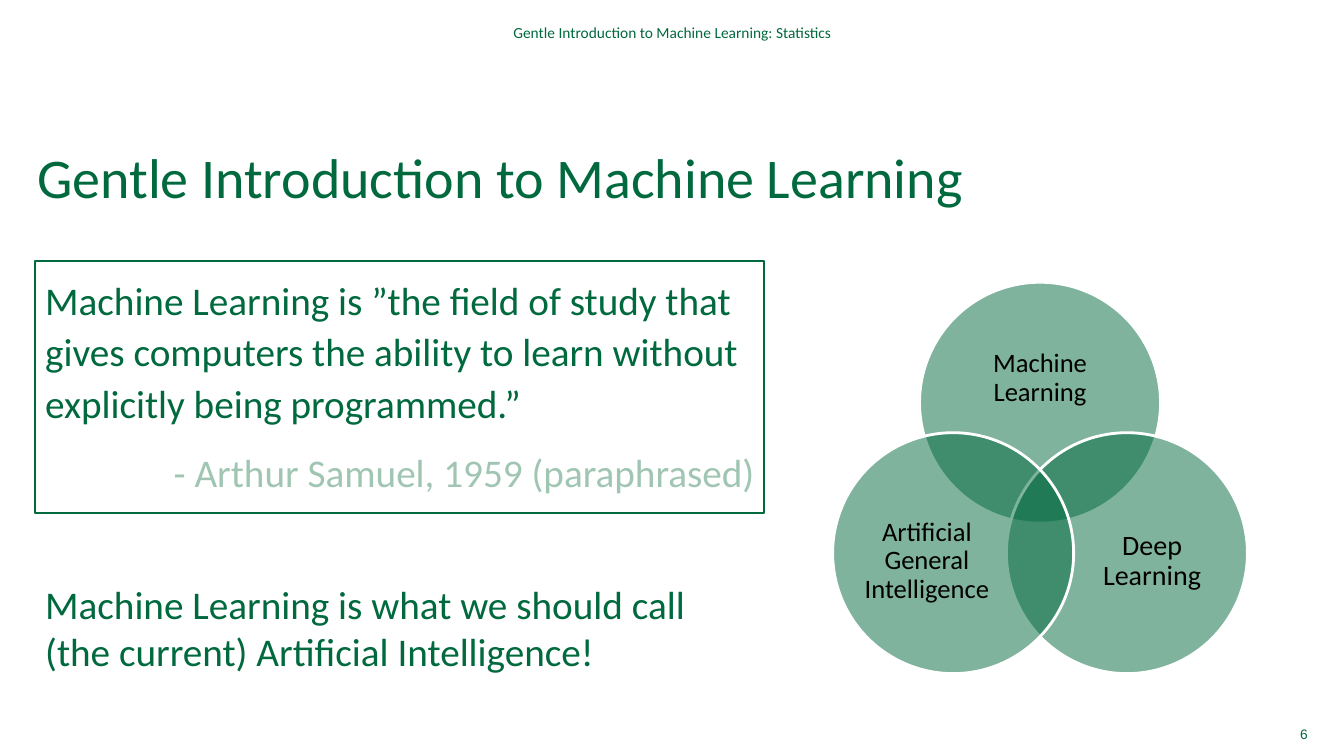
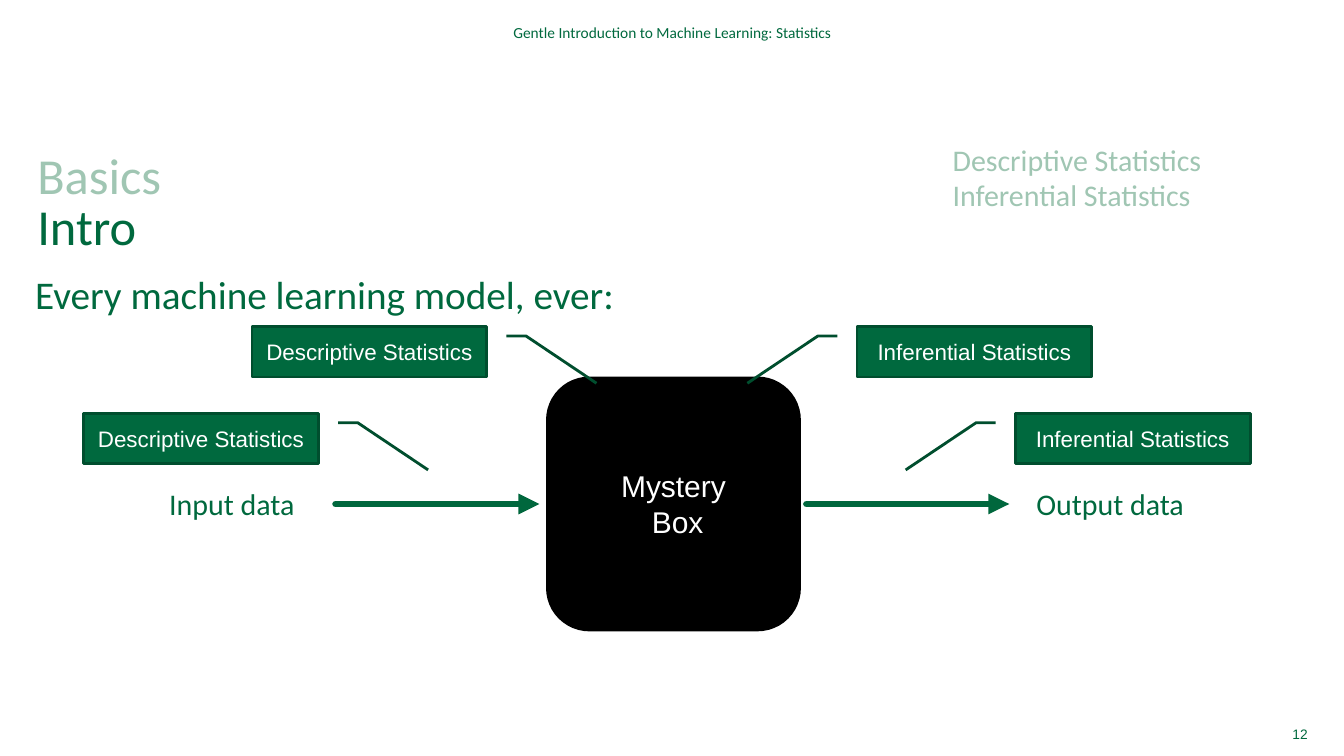
"""Build two slides that introduce machine learning and its statistics."""
import math
import pptx
import pptx.util
import pptx.dml.color
import pptx.enum.shapes
import pptx.enum.text
import pptx.oxml
import pptx.oxml.ns

Inches, Pt = pptx.util.Inches, pptx.util.Pt
RGB = pptx.dml.color.RGBColor
KIND = pptx.enum.shapes.MSO_SHAPE
ALIGN = pptx.enum.text.PP_ALIGN
ANCHOR = pptx.enum.text.MSO_ANCHOR
qn = pptx.oxml.ns.qn

GREEN = RGB(0x00, 0x69, 0x3E)
PALE = RGB(0xA0, 0xC6, 0xB3)
DARK = RGB(0x00, 0x4E, 0x2E)
ARROW = RGB(0x00, 0x67, 0x3D)
BLACK = RGB(0, 0, 0)
WHITE = RGB(255, 255, 255)

WIDE, HIGH = 13.33, 7.5
EDGE = 0.35
BODY = 2.59
HALF = 7.23
HEADER = "Gentle Introduction to Machine Learning: Statistics"

QUOTE = ("Machine Learning is ”the field of study that gives computers "
         "the ability to learn without explicitly being programmed.”")
SOURCE = "- Arthur Samuel, 1959 (paraphrased)"
CLAIM = "Machine Learning is what we should call (the current) Artificial Intelligence!"

VENN = {"mid": (10.315, 4.99), "ring": 0.995, "size": 2.39}
RINGS = [
    ("Machine Learning", -90, 19, (0, -0.24), (1.75, 1.07)),
    ("Deep Learning", 30, 20, (0.25, 0.08), (1.43, 1.31)),
    ("Artificial General Intelligence", 150, 19, (-0.26, 0.08), (1.43, 1.31)),
]

TOPICS = ["Descriptive Statistics", "Inferential Statistics"]
NOTES = [(0, 0.83, 4.1), (0, 2.5, 3.24), (1, 8.5, 3.24), (1, 10.07, 4.1)]
ARROWS = [(3.33, 5.35), (8, 10.01)]
ENDS = [("Input data", 1.58, 1.59), ("Output data", 10.18, 1.83)]


def write(frame, rows, size, color=GREEN, font="Calibri", align=ALIGN.LEFT,
          anchor=ANCHOR.TOP, pad=(0, 0, 0, 0), wrap=True, lead=None, gap=0):
    """Fill a frame with rows; each row is a list of (text, colour) runs or a string."""
    frame.word_wrap = wrap
    frame.vertical_anchor = anchor
    (frame.margin_left, frame.margin_top,
     frame.margin_right, frame.margin_bottom) = map(Inches, pad)
    for num, row in enumerate(rows):
        para = frame.add_paragraph() if num else frame.paragraphs[0]
        para.alignment = align
        para.space_before = para.space_after = Pt(gap)
        if lead:
            para.line_spacing = lead
        runs = [(row, color)] if isinstance(row, str) else row
        for spot, (text, tint) in enumerate(runs):
            if spot:
                para.add_line_break()
            run = para.add_run()
            run.text = text
            run.font.size, run.font.name = Pt(size), font
            run.font.color.rgb = tint


def label(slide, box, rows, size, **style):
    """Add a text box."""
    item = slide.shapes.add_textbox(*map(Inches, box))
    write(item.text_frame, rows, size, **style)
    return item


def shape(slide, kind, box, fill, edge):
    """Add a filled shape with a two point outline."""
    item = slide.shapes.add_shape(kind, *map(Inches, box))
    item.shadow.inherit = False
    item.fill.solid()
    item.fill.fore_color.rgb = fill
    item.line.color.rgb, item.line.width = edge, Pt(2)
    return item


def start(deck, title, size, number):
    """Add a slide with its title, header and number."""
    slide = deck.slides.add_slide(deck.slide_layouts[5])
    head = slide.shapes.title
    head.left, head.top, head.width, head.height = map(Inches, (0.37, 1.52, 12.63, 1.01))
    write(head.text_frame, [title], size, lead=0.85)
    label(slide, (2.61, 0.2, 8.12, 0.24), [HEADER], 11,
          align=ALIGN.CENTER, anchor=ANCHOR.MIDDLE)
    label(slide, (12.4, 7.16, 0.57, 0.24), [number], 9.8, font="Arial",
          align=ALIGN.RIGHT, anchor=ANCHOR.MIDDLE)
    return slide


def venn(slide):
    """Draw the three see-through circles and their labels."""
    size, ring = VENN["size"], VENN["ring"]
    for text, turn, points, (dx, dy), (wide, high) in RINGS:
        x = VENN["mid"][0] + ring * math.cos(math.radians(turn))
        y = VENN["mid"][1] + ring * math.sin(math.radians(turn))
        disc = shape(slide, KIND.OVAL, (x - size / 2, y - size / 2, size, size), GREEN, WHITE)
        tint = disc.fill._xPr.find(qn("a:solidFill"))[0]
        tint.append(pptx.oxml.parse_xml(
            '<a:alpha xmlns:a="http://schemas.openxmlformats.org/drawingml/2006/main" val="50000"/>'))
        label(slide, (x + dx - wide / 2, y + dy - high / 2, wide, high), [text], points,
              color=BLACK, align=ALIGN.CENTER, anchor=ANCHOR.MIDDLE, lead=0.9)


def arrow(slide, left, right, y):
    """Draw a thick level arrow."""
    item = slide.shapes.add_connector(
        pptx.enum.shapes.MSO_CONNECTOR.STRAIGHT, *map(Inches, (left, y, right, y)))
    item.line.color.rgb, item.line.width = ARROW, Pt(5)
    line = item.line._get_or_add_ln()
    line.set("cap", "rnd")
    line.append(line.makeelement(qn("a:tailEnd"), {"type": "triangle"}))
    props = item._element.spPr
    props.append(props.makeelement(qn("a:effectLst"), {}))


def intro(deck):
    """Build the slide with the quote and the circles."""
    slide = start(deck, "Gentle Introduction to Machine Learning", 40, "6")
    quote = label(slide, (EDGE, BODY, HALF, 2.5), [QUOTE, [(SOURCE, PALE)]], 28,
                  pad=(0.1, 0.1, 0.1, 0), lead=1.1, gap=6)
    quote.text_frame.paragraphs[1].alignment = ALIGN.RIGHT
    quote.line.color.rgb, quote.line.width = GREEN, Pt(1.5)
    venn(slide)
    label(slide, (EDGE, 5.71, HALF, 1.04), [CLAIM], 28, pad=(0.1, 0.05, 0.1, 0.05))


def basics(deck):
    """Build the slide with the box, its arrows and its callouts."""
    slide = start(deck, [("Basics", PALE), ("Intro", GREEN)], 36, "12")
    label(slide, (EDGE, BODY, 12.63, 0.8), ["Every machine learning model, ever:"], 28,
          lead=1.2, gap=6)
    pad = (0.1, 0.05, 0.1, 0.05)
    mid = {"font": "Arial", "color": WHITE, "align": ALIGN.CENTER,
           "anchor": ANCHOR.MIDDLE, "pad": pad}
    box = shape(slide, KIND.ROUNDED_RECTANGLE, (5.43, 3.75, 2.5, 2.5), BLACK, BLACK)
    write(box.text_frame, [[("Mystery", WHITE), (" Box", WHITE)]], 21.4, **mid)
    for left, right in ARROWS:
        arrow(slide, left, right, 5)
    label(slide, (9.35, 1.35, 3.05, 0.82), TOPICS, 21.4, color=PALE, pad=pad, wrap=False)
    for topic, x, y in NOTES:
        note = shape(slide, KIND.LINE_CALLOUT_2, (x, y, 2.33, 0.5), GREEN, DARK)
        if x < WIDE / 2:
            note._element.spPr.xfrm.set("flipH", "1")
        write(note.text_frame, [TOPICS[topic]], 16, **mid)
    for text, x, wide in ENDS:
        label(slide, (x, 4.77, wide, 0.46), [text], 21.4, pad=pad, wrap=False)


def main():
    """Build and save the deck."""
    deck = pptx.Presentation()
    deck.slide_width, deck.slide_height = Inches(WIDE), Inches(HIGH)
    intro(deck)
    basics(deck)
    deck.save("out.pptx")


if __name__ == "__main__":
    main()
